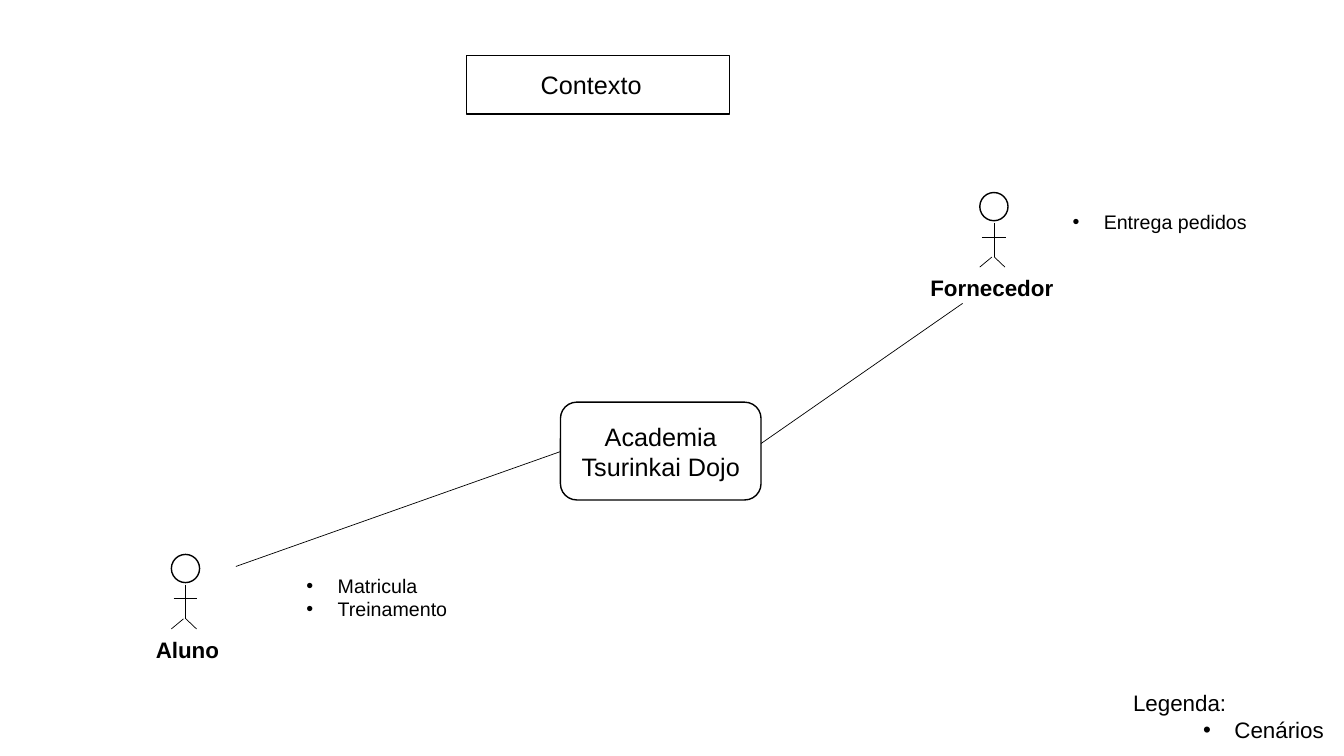
from pptx import Presentation
from pptx.dml.color import RGBColor
from pptx.enum.shapes import MSO_CONNECTOR as Connector, MSO_SHAPE as Shape
from pptx.enum.text import MSO_ANCHOR as Anchor, MSO_AUTO_SIZE as AutoSize, PP_ALIGN as Align
from pptx.oxml.ns import qn
from pptx.util import Inches, Pt
from lxml.etree import SubElement

COLORS = {"ink": "000000", "paper": "FFFFFF"}
INK = RGBColor.from_string(COLORS["ink"])
PAPER = RGBColor.from_string(COLORS["paper"])

deck = Presentation()
deck.slide_width, deck.slide_height = Inches(13.33), Inches(7.5)
COLUMN, ROW = deck.slide_width / 80, deck.slide_height / 45
INDENT = Inches(0.31)


def write(box, lines, size, bold=False, align=Align.LEFT, anchor=Anchor.TOP, bullets=()):
    frame = box.text_frame
    frame.word_wrap = True
    frame.auto_size = AutoSize.NONE
    frame.vertical_anchor = anchor
    frame.margin_left = frame.margin_right = Inches(0.1)
    frame.margin_top = frame.margin_bottom = Inches(0.05)
    for number, line in enumerate(lines):
        para = frame.paragraphs[0] if number == 0 else frame.add_paragraph()
        bulleted = number in bullets
        para.alignment = align[number] if isinstance(align, tuple) else align
        para.space_before = Pt(0)
        layout = para._p.get_or_add_pPr()
        layout.set("marL", str(INDENT if bulleted else 0))
        layout.set("indent", str(-INDENT if bulleted else 0))
        if bulleted:
            SubElement(layout, qn("a:buFont")).set("typeface", "Arial")
            SubElement(layout, qn("a:buChar")).set("char", "•")
        else:
            SubElement(layout, qn("a:buNone"))
        span = para.add_run()
        span.text = line
        span.font.name, span.font.size, span.font.bold = "Arial", Pt(size), bold
        span.font.color.rgb = INK


def draw_line(shapes, start_x, start_y, end_x, end_y):
    line = shapes.add_connector(Connector.STRAIGHT, int(start_x * COLUMN), int(start_y * ROW),
                                int(end_x * COLUMN), int(end_y * ROW))
    line.line.color.rgb, line.line.width = INK, Pt(0.5)
    SubElement(line._element.spPr, qn("a:effectLst"))


page = deck.slides.add_slide(deck.slide_layouts.get_by_name("Comparison"))
title, *bodies = page.placeholders

title.left, title.top = int(27.78 * COLUMN), int(3.3 * ROW)
title.width, title.height = int(15.66 * COLUMN), int(3.48 * ROW)
outline = SubElement(title._element.spPr, qn("a:prstGeom"))
outline.set("prst", "round2DiagRect")
SubElement(outline, qn("a:avLst"))
write(title, ["Contexto"], 18, align=Align.CENTER, anchor=Anchor.MIDDLE)
title.text_frame.margin_right = Inches(0.24)

academy = page.shapes.add_shape(Shape.ROUNDED_RECTANGLE, int(33.36 * COLUMN), int(23.94 * ROW),
                                int(11.94 * COLUMN), int(5.82 * ROW))
academy.shadow.inherit = False
write(academy, ["Academia Tsurinkai Dojo"], 18, align=Align.CENTER, anchor=Anchor.MIDDLE)
outlined = [title, academy]

LISTS = [
    (17.64, 33.84, 3.42, ["Matricula", "Treinamento"], 14, Align.LEFT, (0, 1)),
    (63.24, 12.18, 3.42, ["Entrega pedidos"], 14, Align.LEFT, (0,)),
    (66.84, 40.74, 3.84, ["Legenda:", "Cenários"], 16, (Align.LEFT, Align.CENTER), (1,)),
]
for body, (left, top, height, lines, size, align, bullets) in zip(bodies, LISTS):
    body.left, body.top = int(left * COLUMN), int(top * ROW)
    body.width, body.height = int(16.74 * COLUMN), int(height * ROW)
    write(body, lines, size, align=align, bullets=bullets)
for spare in bodies[len(LISTS):]:
    spare._element.getparent().remove(spare._element)

HEAD = 1.68
LIMBS = [
    (0, 1.8, 0, 3.84),
    (-0.71, 2.64, 0.71, 2.64),
    (-0.84, 4.44, -0.12, 3.84),
    (0.03, 3.84, 0.66, 4.44),
]
ACTORS = [
    ("Aluno", 11.04, 33, 7.32, 7.68),
    ("Fornecedor", 59.16, 11.46, 54.6, 8.88),
]
for name, center, top, label_left, label_width in ACTORS:
    figure = page.shapes.add_group_shape()
    head = figure.shapes.add_shape(Shape.OVAL, int((center - HEAD / 2) * COLUMN), int(top * ROW),
                                   int(HEAD * COLUMN), int(HEAD * ROW))
    head.shadow.inherit = False
    outlined.append(head)
    for start_x, start_y, end_x, end_y in LIMBS:
        draw_line(figure.shapes, center + start_x, top + start_y, center + end_x, top + end_y)
    label = page.shapes.add_textbox(int(label_left * COLUMN), int((top + 4.56) * ROW),
                                    int(label_width * COLUMN), int(2.22 * ROW))
    write(label, [name], 16, bold=True, align=Align.CENTER)

for shape in outlined:
    shape.fill.solid()
    shape.fill.fore_color.rgb = PAPER
    shape.line.color.rgb, shape.line.width = INK, Pt(1)

for ends in [(14.04, 33.72, 33.36, 26.88), (45.3, 26.4, 57.3, 18.06)]:
    draw_line(page.shapes, *ends)

deck.save("out.pptx")
